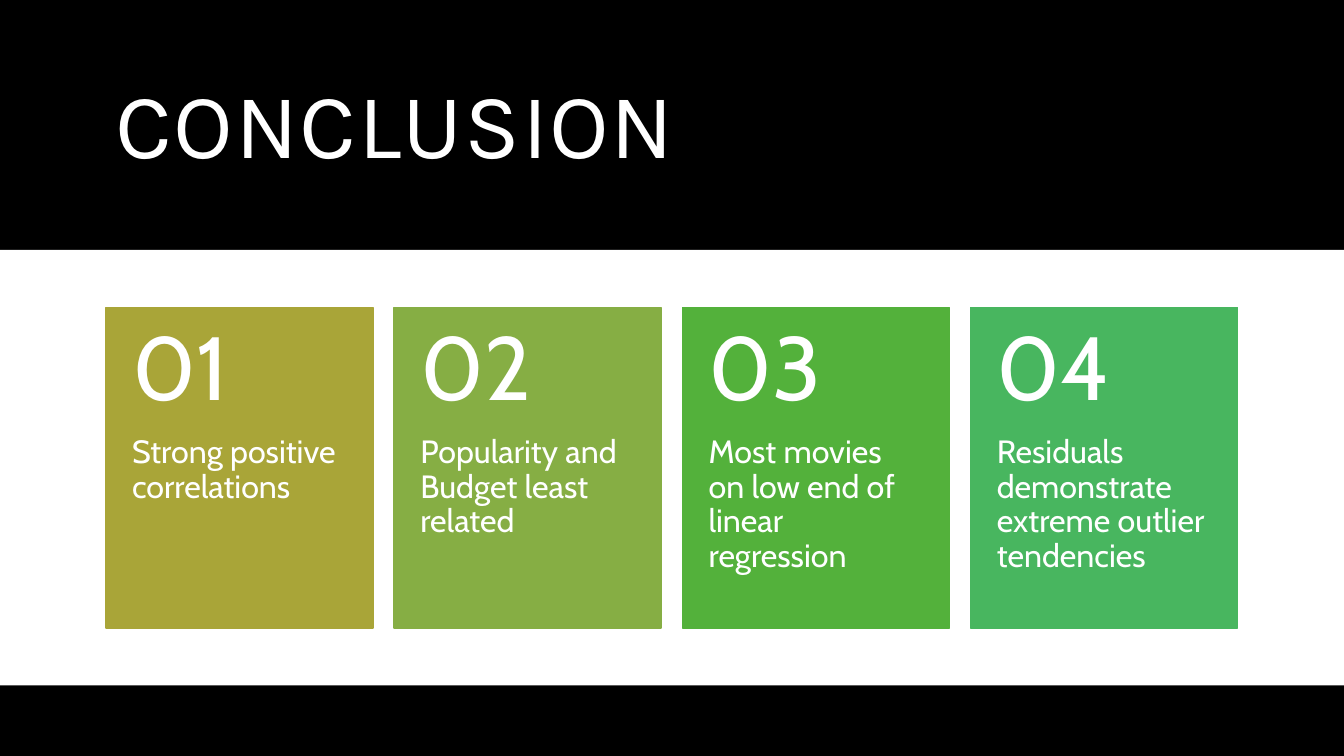
from dataclasses import dataclass

from pptx import Presentation
from pptx import util as u
from pptx.dml.color import RGBColor
from pptx.enum import shapes, text

PX = 3048

BLACK = RGBColor(0x00, 0x00, 0x00)
WHITE = RGBColor(0xFF, 0xFF, 0xFF)
OLIVE = RGBColor(0xA9, 0xA5, 0x38)
MOSS = RGBColor(0x86, 0xAE, 0x44)
GREEN = RGBColor(0x53, 0xB1, 0x3B)
MINT = RGBColor(0x48, 0xB6, 0x5F)

SLIDE_W, SLIDE_H = 4000, 2250
BAND_TOP, BAND_H = 744, 1296
CARD_LEFT, CARD_TOP, CARD_W, CARD_H = 315, 915, 795, 954
CARD_PITCH = 858
NUMBER_H = 381


@dataclass(frozen=True)
class Box:
    left: int
    top: int
    width: int
    height: int

    def emu(self) -> tuple[u.Emu, ...]:
        return tuple(u.Emu(n * PX) for n in (self.left, self.top, self.width, self.height))


@dataclass(frozen=True)
class TextStyle:
    font: str
    size: int
    insets: tuple[int, int, int, int]
    anchor: text.MSO_ANCHOR


@dataclass(frozen=True)
class Card:
    label: str
    color: RGBColor


TITLE = TextStyle("Karla", 66, (30, 15, 30, 15), text.MSO_ANCHOR.MIDDLE)
NUMBER = TextStyle("Cabin", 64, (78, 54, 78, 54), text.MSO_ANCHOR.MIDDLE)
LABEL = TextStyle("Cabin", 23, (78, 0, 78, 108), text.MSO_ANCHOR.TOP)

CARDS = [
    Card("Strong positive correlations", OLIVE),
    Card("Popularity and Budget least related", MOSS),
    Card("Most movies on low end of linear regression", GREEN),
    Card("Residuals demonstrate extreme outlier tendencies", MINT),
]


def add_rect(parent, box: Box, color: RGBColor, outlined: bool = False) -> None:
    sp = parent.add_shape(shapes.MSO_SHAPE.RECTANGLE, *box.emu())
    sp.shadow.inherit = False
    sp.fill.solid()
    sp.fill.fore_color.rgb = color
    if outlined:
        sp.line.color.rgb = color
        sp.line.width = u.Pt(1)
    else:
        sp.line.fill.background()


def add_text(parent, box: Box, words: str, style: TextStyle):
    tf = parent.add_textbox(*box.emu()).text_frame
    tf.word_wrap = True
    tf.vertical_anchor = style.anchor
    tf.margin_left, tf.margin_top, tf.margin_right, tf.margin_bottom = (
        u.Emu(n * PX) for n in style.insets
    )
    p = tf.paragraphs[0]
    r = p.add_run()
    r.text = words
    p.line_spacing = 0.9
    p.font.name = style.font
    p.font.size = u.Pt(style.size)
    p.font.color.rgb = WHITE
    return r


def add_card(s, index: int, card: Card) -> None:
    group = s.shapes.add_group_shape().shapes
    left = CARD_LEFT + index * CARD_PITCH
    add_rect(group, Box(left, CARD_TOP, CARD_W, CARD_H), card.color, outlined=True)
    label_box = Box(left, CARD_TOP + NUMBER_H, CARD_W, CARD_H - NUMBER_H)
    add_text(group, label_box, card.label, LABEL)
    add_text(group, Box(left, CARD_TOP, CARD_W, NUMBER_H), f"{index + 1:02d}", NUMBER)


def main() -> None:
    prs = Presentation()
    prs.slide_width = u.Emu(SLIDE_W * PX)
    prs.slide_height = u.Emu(SLIDE_H * PX)
    s = prs.slides.add_slide(prs.slide_layouts[6])

    add_rect(s.shapes, Box(0, 0, SLIDE_W, SLIDE_H), BLACK)
    title = add_text(s.shapes, Box(CARD_LEFT, 105, 3369, 558), "CONCLUSION", TITLE)
    title.font._element.set("spc", "120")
    add_rect(s.shapes, Box(0, BAND_TOP, SLIDE_W, BAND_H), WHITE)
    for index, card in enumerate(CARDS):
        add_card(s, index, card)

    prs.save("out.pptx")


if __name__ == "__main__":
    main()
